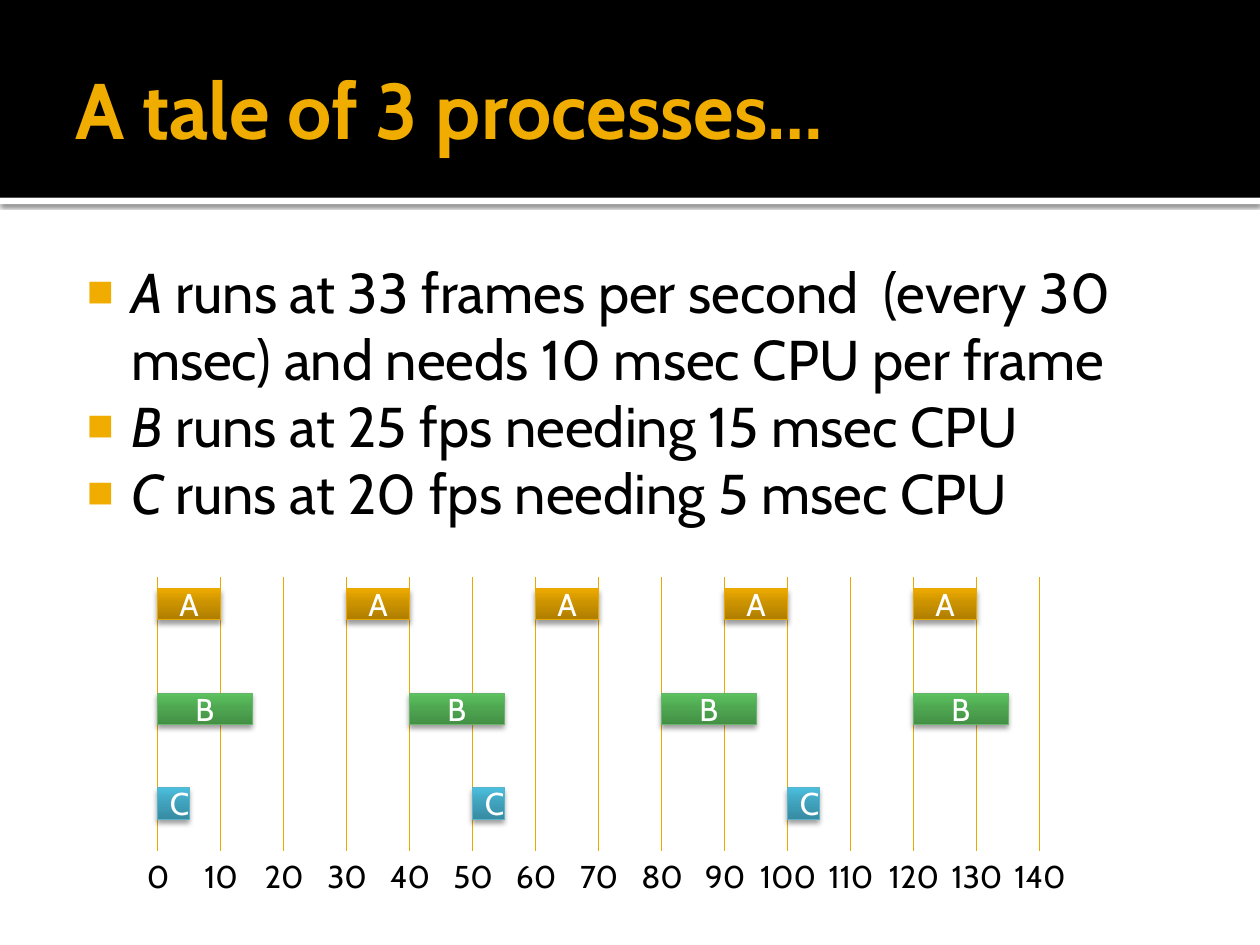
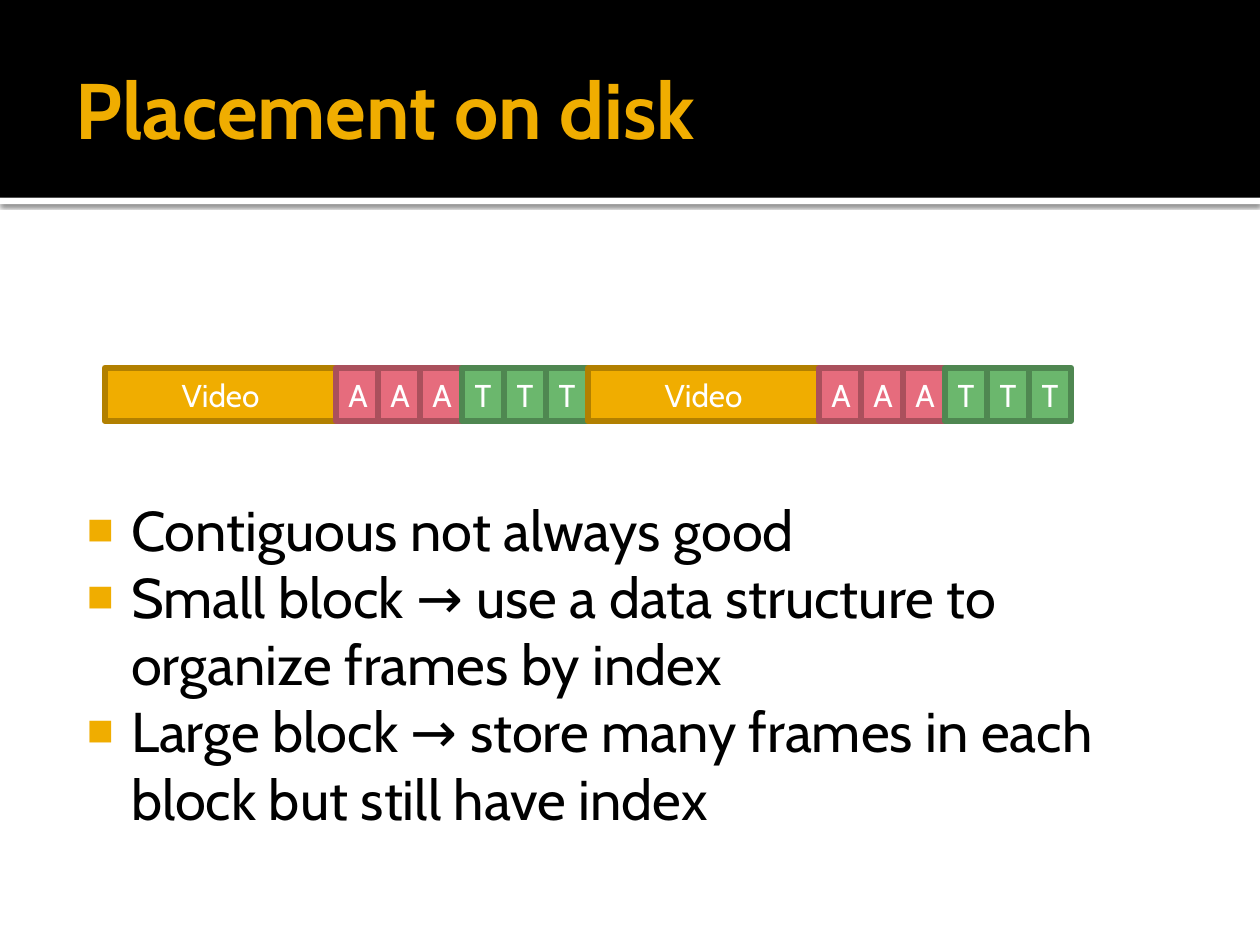
"""Builds two slides on scheduling and disk placement of video frames."""
from copy import deepcopy

from lxml import etree
from pptx import Presentation
from pptx import util as u
from pptx.dml.color import RGBColor
from pptx.enum import shapes, text
from pptx.oxml.ns import qn

FONT = "Cabin"
BLACK = RGBColor(0x00, 0x00, 0x00)
WHITE = RGBColor(0xFF, 0xFF, 0xFF)
AMBER = RGBColor(0xF0, 0xAD, 0x00)
AMBER_EDGE = RGBColor(0xB2, 0x80, 0x00)
AMBER_LINE = RGBColor(0xEB, 0xA9, 0x00)
ROSE = RGBColor(0xE6, 0x6C, 0x7D)
ROSE_EDGE = RGBColor(0xAA, 0x50, 0x5C)
GREEN = RGBColor(0x6B, 0xB7, 0x6D)
GREEN_EDGE = RGBColor(0x4F, 0x87, 0x51)
GREEN_LINE = RGBColor(0x67, 0xB5, 0x69)
BLUE_LINE = RGBColor(0x5B, 0xB3, 0xCA)
AMBER_SHADES = (RGBColor(0xAE, 0x7D, 0x00), RGBColor(0xCC, 0x93, 0x00), RGBColor(0xEE, 0xAB, 0x00))
GREEN_SHADES = (RGBColor(0x43, 0x8F, 0x45), RGBColor(0x4F, 0xA8, 0x51), RGBColor(0x5C, 0xC3, 0x5F))
BLUE_SHADES = (RGBColor(0x37, 0x8B, 0xA2), RGBColor(0x41, 0xA4, 0xBF), RGBColor(0x4B, 0xBF, 0xDE))
SHADE_STOPS = (0, 0.55, 1)


class SlideBuilder:
    """Holds the deck style and the current slide."""

    def __init__(self):
        self.deck = Presentation()
        self.deck.slide_width = u.Inches(10)
        self.deck.slide_height = u.Inches(7.5)
        self.page = None

    def start(self, title):
        self.page = self.deck.slides.add_slide(self.deck.slide_layouts[1])
        divider = self.box(0, 1.57, 10, 0.05, WHITE)
        self.shadow(divider, 60, 2.5, 0.8)
        header = self.box(0, 0, 10, 1.57, BLACK)
        for depth, band in enumerate((divider, header), start=2):
            self.page.shapes.element.insert(depth, band.element)
        frame = self.placeholder(self.page.shapes.title, (0.5, 0.17, 9, 1.37), (0.1, 0.05, 0.05, 0.05))
        frame.vertical_anchor = text.MSO_ANCHOR.MIDDLE
        para = frame.paragraphs[0]
        para.alignment = text.PP_ALIGN.LEFT
        self.span(para, title, 45, AMBER, bold=True)

    def placeholder(self, holder, place, insets):
        holder.left, holder.top, holder.width, holder.height = map(u.Inches, place)
        frame = holder.text_frame
        frame.auto_size = text.MSO_AUTO_SIZE.NONE
        frame.word_wrap = True
        (frame.margin_left, frame.margin_top,
         frame.margin_right, frame.margin_bottom) = map(u.Inches, insets)
        return frame

    def span(self, para, words, size, color, bold=False, italic=False):
        span = para.add_run()
        span.text = words
        font = span.font
        font.name, font.size, font.bold, font.italic = FONT, u.Pt(size), bold, italic
        font.color.rgb = color

    def bullets(self, top, height, items):
        frame = self.placeholder(self.page.placeholders[1], (0.5, top, 9, height), (0.06, 0.1, 0.1, 0.05))
        frame.vertical_anchor = text.MSO_ANCHOR.TOP
        for index, (lead, rest) in enumerate(items):
            para = frame.add_paragraph() if index else frame.paragraphs[0]
            para.space_before = u.Pt(0)
            self.square_bullet(para)
            if lead:
                self.span(para, lead, 32, BLACK, italic=True)
            self.span(para, rest, 32, BLACK)

    def square_bullet(self, para):
        props = para._p.get_or_add_pPr()
        props.set("marL", str(u.Inches(0.48)))
        props.set("indent", str(u.Inches(-0.35)))
        color = etree.SubElement(props, qn("a:buClr"))
        etree.SubElement(color, qn("a:srgbClr"), val=str(AMBER))
        etree.SubElement(props, qn("a:buSzPct"), val="80000")
        etree.SubElement(props, qn("a:buChar"), char="■")

    def box(self, left, top, width, height, fill, edge=None, weight=0, label=None):
        box = self.page.shapes.add_shape(
            shapes.MSO_SHAPE.RECTANGLE, *map(u.Inches, (left, top, width, height)))
        box.shadow.inherit = False
        if isinstance(fill, RGBColor):
            box.fill.solid()
            box.fill.fore_color.rgb = fill
        else:
            self.gradient(box, fill)
        if edge is None:
            box.line.fill.background()
        else:
            box.line.color.rgb = edge
            box.line.width = u.Pt(weight)
        if label:
            box.text_frame.vertical_anchor = text.MSO_ANCHOR.MIDDLE
            self.centred(box.text_frame, label, WHITE)
        return box

    def gradient(self, box, shades):
        box.fill.gradient()
        box.fill.gradient_angle = 90
        stop_list = box.element.spPr.find(".//" + qn("a:gsLst"))
        stop_list.append(deepcopy(stop_list[-1]))
        for stop, position, shade in zip(box.fill.gradient_stops, SHADE_STOPS, shades):
            stop.position = position
            stop.color.rgb = shade

    def shadow(self, box, opacity, blur, distance):
        effects = box.element.spPr.find(qn("a:effectLst"))
        outer = etree.SubElement(
            effects, qn("a:outerShdw"), blurRad=str(u.Pt(blur)), dist=str(u.Pt(distance)),
            dir="5400000", algn="t", rotWithShape="0")
        color = etree.SubElement(outer, qn("a:srgbClr"), val=str(BLACK))
        etree.SubElement(color, qn("a:alpha"), val=str(opacity * 1000))

    def centred(self, frame, words, color):
        frame.word_wrap = True
        para = frame.paragraphs[0]
        para.alignment = text.PP_ALIGN.CENTER
        self.span(para, words, 18, color)

    def label(self, left, top, width, height, words):
        box = self.page.shapes.add_textbox(*map(u.Inches, (left, top, width, height)))
        self.centred(box.text_frame, words, BLACK)

    def vertical(self, x, top, bottom):
        line = self.page.shapes.add_connector(
            shapes.MSO_CONNECTOR.STRAIGHT, *map(u.Inches, (x, top, x, bottom)))
        line.line.color.rgb = AMBER_LINE
        line.line.width = u.Pt(0.5)
        etree.SubElement(line.element.spPr, qn("a:effectLst"))


def build_processes(builder):
    builder.start("A tale of 3 processes…")
    builder.bullets(1.94, 2.56, (
        ("A", " runs at 33 frames per second  (every 30 msec) and needs 10 msec CPU per frame"),
        ("B ", "runs at 25 fps needing 15 msec CPU"),
        ("C", " runs at 20 fps needing 5 msec CPU"),
    ))
    origin, inches_per_msec = 1.25, 0.05
    for msec in range(0, 141, 10):
        x = origin + msec * inches_per_msec
        builder.vertical(x, 4.58, 6.75)
        builder.label(x - 0.33, 6.75, 0.67, 0.4, str(msec))
    processes = (
        ("A", 4.67, 30, 10, 5, AMBER_SHADES, AMBER_LINE),
        ("B", 5.5, 40, 15, 4, GREEN_SHADES, GREEN_LINE),
        ("C", 6.25, 50, 5, 3, BLUE_SHADES, BLUE_LINE),
    )
    for name, top, period, burst, count, shades, edge in processes:
        for frame in range(count):
            left = origin + frame * period * inches_per_msec
            bar = builder.box(left, top, burst * inches_per_msec, 0.25, shades, edge, 0.5, name)
            builder.shadow(bar, 38, 3.1, 2)


def build_placement(builder):
    builder.start("Placement on disk")
    builder.bullets(3.83, 3.17, (
        ("", "Contiguous not always good"),
        ("", "Small block → use a data structure to organize frames by index"),
        ("", "Large block → store many frames in each block but still have index"),
    ))
    unit = 1 / 3
    video = ("Video", 5.5 * unit, AMBER, AMBER_EDGE)
    audio = ("A", unit, ROSE, ROSE_EDGE)
    subtitle = ("T", unit, GREEN, GREEN_EDGE)
    left = 2.5 * unit
    for name, width, fill, edge in ([video] + [audio] * 3 + [subtitle] * 3) * 2:
        builder.box(left, 2.92, width, 0.42, fill, edge, 3.78, name)
        left += width


def main():
    builder = SlideBuilder()
    build_processes(builder)
    build_placement(builder)
    builder.deck.save("out.pptx")


if __name__ == "__main__":
    main()
